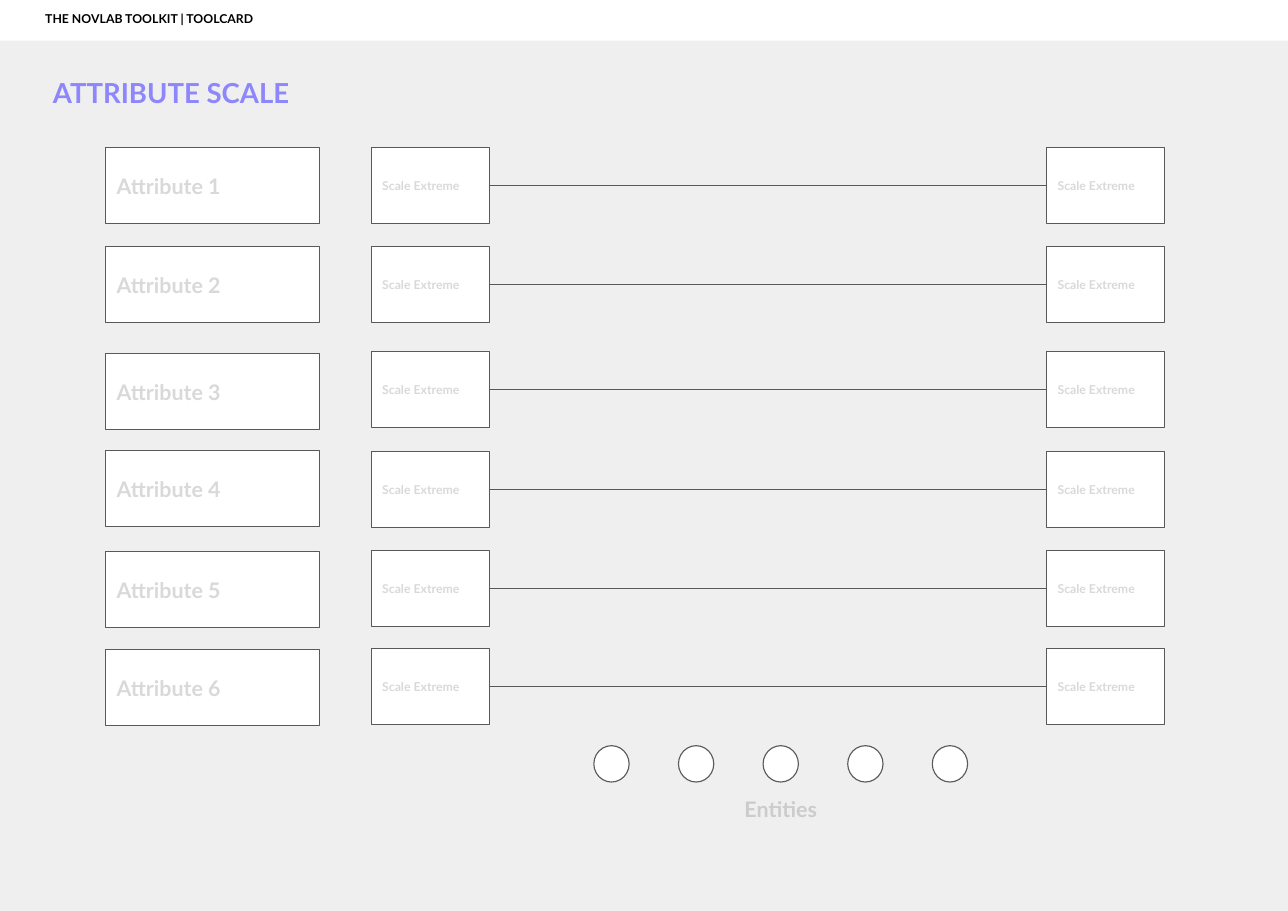
from dataclasses import dataclass

from lxml.etree import SubElement
from pptx import Presentation
from pptx.dml.color import RGBColor
from pptx.enum.shapes import MSO_CONNECTOR, MSO_SHAPE
from pptx.enum.text import MSO_ANCHOR, PP_ALIGN
from pptx.oxml.ns import qn
from pptx.util import Inches, Pt

WIDTH, HEIGHT = Inches(11.69), Inches(8.27)


@dataclass(frozen=True)
class Theme:
    font: str = "Lato"
    page: str = "EFEFEF"
    paper: str = "FFFFFF"
    outline: str = "595959"
    accent: str = "8D86FC"
    ink: str = "000000"
    hint: str = "D9D9D9"
    caption: str = "CCCCCC"
    title_size: int = 18
    label_size: int = 14
    small_size: int = 8
    line_width: float = 0.75
    inset: float = 0.1


THEME = Theme()

ATTRIBUTE_LEFT, ATTRIBUTE_WIDTH = 8.21, 16.6
EXTREME_LEFTS, EXTREME_WIDTH = (28.83, 81.27), 9.15
BOX_HEIGHT = 8.34
EXTREME_TOPS = (16.2, 27.09, 38.57, 49.58, 60.46, 71.22)
ATTRIBUTE_TOPS = (16.2, 27.09, 38.81, 49.46, 60.58, 71.34)
ENTITY_COUNT, ENTITY_LEFT, ENTITY_STEP = 5, 46.11, 6.57


def color(code):
    return RGBColor.from_string(code)


def place(left, top, width, height):
    """Turn percentages of the slide into lengths."""
    return (round(WIDTH * left / 100), round(HEIGHT * top / 100),
            round(WIDTH * width / 100), round(HEIGHT * height / 100))


def write(shape, text, size, ink, anchor=MSO_ANCHOR.MIDDLE,
          align=PP_ALIGN.LEFT, indent=0):
    frame = shape.text_frame
    frame.text = text
    frame.word_wrap = True
    frame.vertical_anchor = anchor
    frame.margin_left = Inches(THEME.inset + indent)
    frame.margin_top = frame.margin_right = frame.margin_bottom = Inches(THEME.inset)
    paragraph = frame.paragraphs[0]
    paragraph.alignment = align
    font = paragraph.font
    font.name, font.size, font.bold = THEME.font, Pt(size), True
    font.color.rgb = color(ink)


def draw_outline(line):
    line.color.rgb = color(THEME.outline)
    line.width = Pt(THEME.line_width)


def add_panel(slide, kind, area, outlined=True):
    panel = slide.shapes.add_shape(kind, *place(*area))
    panel.shadow.inherit = False
    panel.fill.solid()
    panel.fill.fore_color.rgb = color(THEME.paper)
    if outlined:
        draw_outline(panel.line)
    else:
        panel.line.fill.background()
    return panel


def add_box(slide, area, text, size):
    box = add_panel(slide, MSO_SHAPE.RECTANGLE, area)
    write(box, text, size, THEME.hint)
    return box


def add_scale(slide, top):
    start, end = [
        add_box(slide, (left, top, EXTREME_WIDTH, BOX_HEIGHT),
                "Scale Extreme", THEME.small_size)
        for left in EXTREME_LEFTS
    ]
    scale = slide.shapes.add_connector(MSO_CONNECTOR.STRAIGHT, 0, 0, 0, 0)
    scale.begin_connect(start, 3)
    scale.end_connect(end, 1)
    draw_outline(scale.line)
    SubElement(scale._element.spPr, qn("a:effectLst"))


def add_title(slide):
    title = slide.shapes.title
    title.left, title.top, title.width, title.height = place(0, 7.13, 56.8, 9.07)
    write(title, "ATTRIBUTE SCALE", THEME.title_size, THEME.accent,
          anchor=MSO_ANCHOR.TOP, indent=0.38)


def add_header(slide):
    header = add_panel(slide, MSO_SHAPE.RECTANGLE, (0, 0, 100, 4.47), outlined=False)
    write(header, "THE NOVLAB TOOLKIT | TOOLCARD", THEME.small_size, THEME.ink,
          anchor=MSO_ANCHOR.TOP, indent=0.31)


def add_entities(slide):
    for index in range(ENTITY_COUNT):
        left = ENTITY_LEFT + index * ENTITY_STEP
        add_panel(slide, MSO_SHAPE.OVAL, (left, 81.86, 2.74, 3.99))
    caption = slide.shapes.add_textbox(*place(54.62, 85.75, 12, 6))
    write(caption, "Entities", THEME.label_size, THEME.caption, align=PP_ALIGN.CENTER)


def main():
    deck = Presentation()
    deck.slide_width, deck.slide_height = WIDTH, HEIGHT
    slide = deck.slides.add_slide(deck.slide_layouts[5])
    slide.background.fill.solid()
    slide.background.fill.fore_color.rgb = color(THEME.page)

    add_title(slide)
    for number, (extreme_top, attribute_top) in enumerate(
            zip(EXTREME_TOPS, ATTRIBUTE_TOPS), start=1):
        add_box(slide, (ATTRIBUTE_LEFT, attribute_top, ATTRIBUTE_WIDTH, BOX_HEIGHT),
                f"Attribute {number}", THEME.label_size)
        add_scale(slide, extreme_top)
    add_entities(slide)
    add_header(slide)
    deck.save("out.pptx")


if __name__ == "__main__":
    main()
